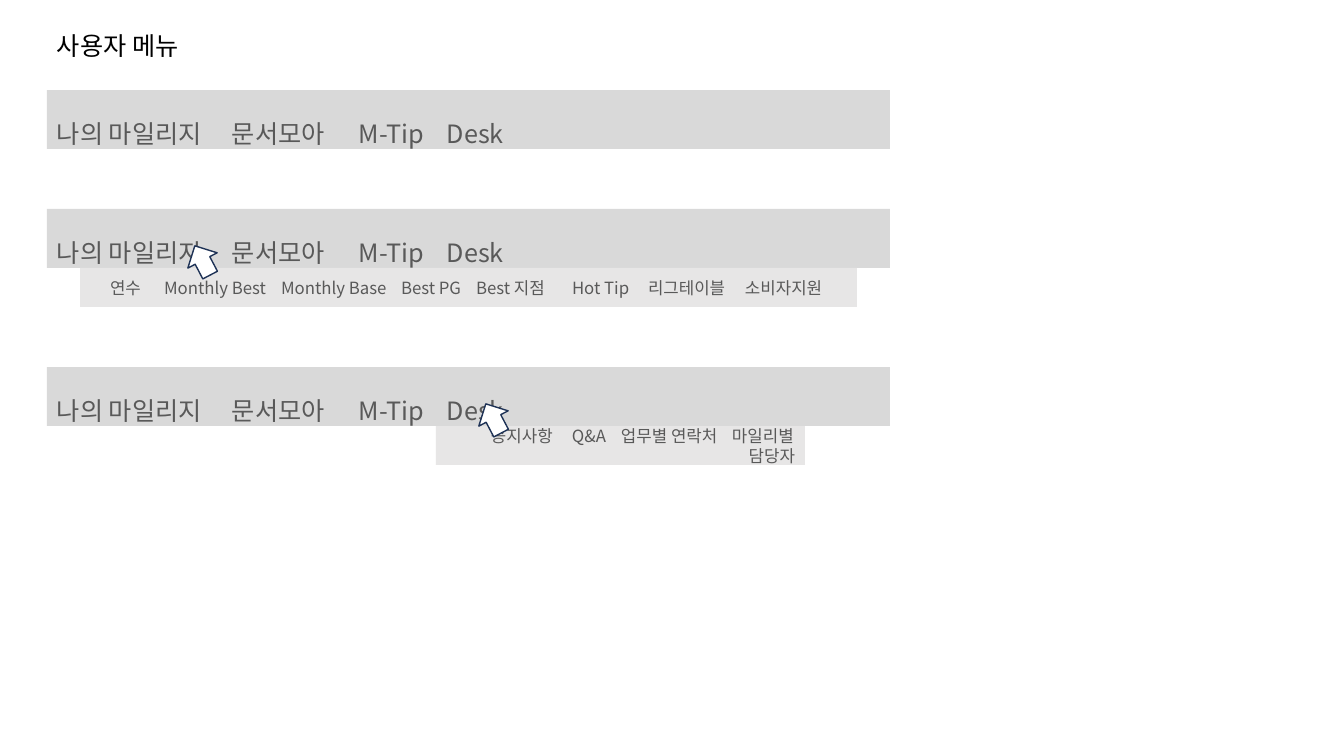
import pptx
import pptx.dml.color
import pptx.enum.shapes
import pptx.enum.text
import pptx.oxml.ns
import pptx.util
import lxml.etree

EMU_PER_PX = 914400 / 100.8
FONT = "Noto Sans CJK KR"
SHAPES = pptx.enum.shapes.MSO_SHAPE
ALIGN = pptx.enum.text.PP_ALIGN
ANCHOR = pptx.enum.text.MSO_ANCHOR

MENU = "나의 마일리지\t문서모아\tM-Tip\tDesk"
MENU_TABS = [175, 302, 390]
MILEAGE_MENU = ("연수\tMonthly Best\tMonthly Base\tBest PG\tBest 지점"
                "\tHot Tip\t리그테이블\t소비자지원")
MILEAGE_TABS = [54, 171, 291, 366, 462, 538, 635]
DESK_MENU = "공지사항\tQ&A\t업무별 연락처\t마일리별"
DESK_TABS = [81, 130, 241]


def px(length):
    return pptx.util.Emu(round(length * EMU_PER_PX))


def color(code):
    return pptx.dml.color.RGBColor.from_string(code)


def add_child(parent, tag, **attributes):
    return lxml.etree.SubElement(parent, pptx.oxml.ns.qn(tag), attributes)


def write(para, text, size=18, ink="595959", align=ALIGN.LEFT, tabs=()):
    para.alignment = align
    if tabs:
        tab_list = add_child(para._p.get_or_add_pPr(), "a:tabLst")
        for stop in tabs:
            add_child(tab_list, "a:tab", pos=str(px(stop)), algn="l")
    span = para.add_run()
    span.text = text
    span.font.size = pptx.util.Pt(size)
    span.font.name = FONT
    span.font.color.rgb = color(ink)
    add_child(span._r.get_or_add_rPr(), "a:ea", typeface=FONT)


def set_frame(shape, anchor, left=10, top=0, right=10, bottom=0):
    frame = shape.text_frame
    frame.word_wrap = True
    frame.auto_size = pptx.enum.text.MSO_AUTO_SIZE.NONE
    frame.vertical_anchor = anchor
    frame.margin_left, frame.margin_top = px(left), px(top)
    frame.margin_right, frame.margin_bottom = px(right), px(bottom)
    return frame


def add_block(page, kind, box, fill):
    shape = page.shapes.add_shape(kind, *map(px, box))
    shape.shadow.inherit = False
    shape.fill.solid()
    shape.fill.fore_color.rgb = color(fill)
    shape.line.fill.background()
    return shape


def add_title(page, box):
    title = page.shapes.title
    title.left, title.top, title.width, title.height = map(px, box)
    frame = set_frame(title, ANCHOR.TOP, top=5, bottom=5)
    write(frame.paragraphs[0], "사용자 메뉴", ink="000000")


def add_menu_bar(page, box):
    bar = add_block(page, SHAPES.RECTANGLE, box, "D9D9D9")
    frame = set_frame(bar, ANCHOR.BOTTOM)
    write(frame.paragraphs[0], MENU, tabs=MENU_TABS)


def add_submenu(page, box, text, tabs, inset, last_line=None):
    panel = add_block(page, SHAPES.RECTANGLE, box, "E7E6E6")
    frame = set_frame(panel, ANCHOR.MIDDLE, left=inset)
    write(frame.paragraphs[0], text, size=12, tabs=tabs)
    if last_line:
        write(frame.add_paragraph(), last_line, size=12, align=ALIGN.RIGHT)


def add_pointer(page, left, top):
    pointer = add_block(page, SHAPES.UP_ARROW, (left, top, 33, 33), "FFFFFF")
    pointer.rotation = 332.4
    pointer.line.color.rgb = color("1E3256")
    pointer.line.width = pptx.util.Pt(1)


def main():
    deck = pptx.Presentation()
    deck.slide_width, deck.slide_height = px(1344), px(756)
    page = deck.slides.add_slide(deck.slide_layouts[5])
    add_title(page, (47, 25, 186, 40))
    for top in (90, 209, 367):
        add_menu_bar(page, (47, top, 843, 59))
    add_submenu(page, (80, 268, 777, 39), MILEAGE_MENU, MILEAGE_TABS, 30)
    add_pointer(page, 186, 244)
    add_submenu(page, (436, 426, 369, 39), DESK_MENU, DESK_TABS, 55, "담당자")
    add_pointer(page, 477, 402)
    deck.save("out.pptx")


if __name__ == "__main__":
    main()
